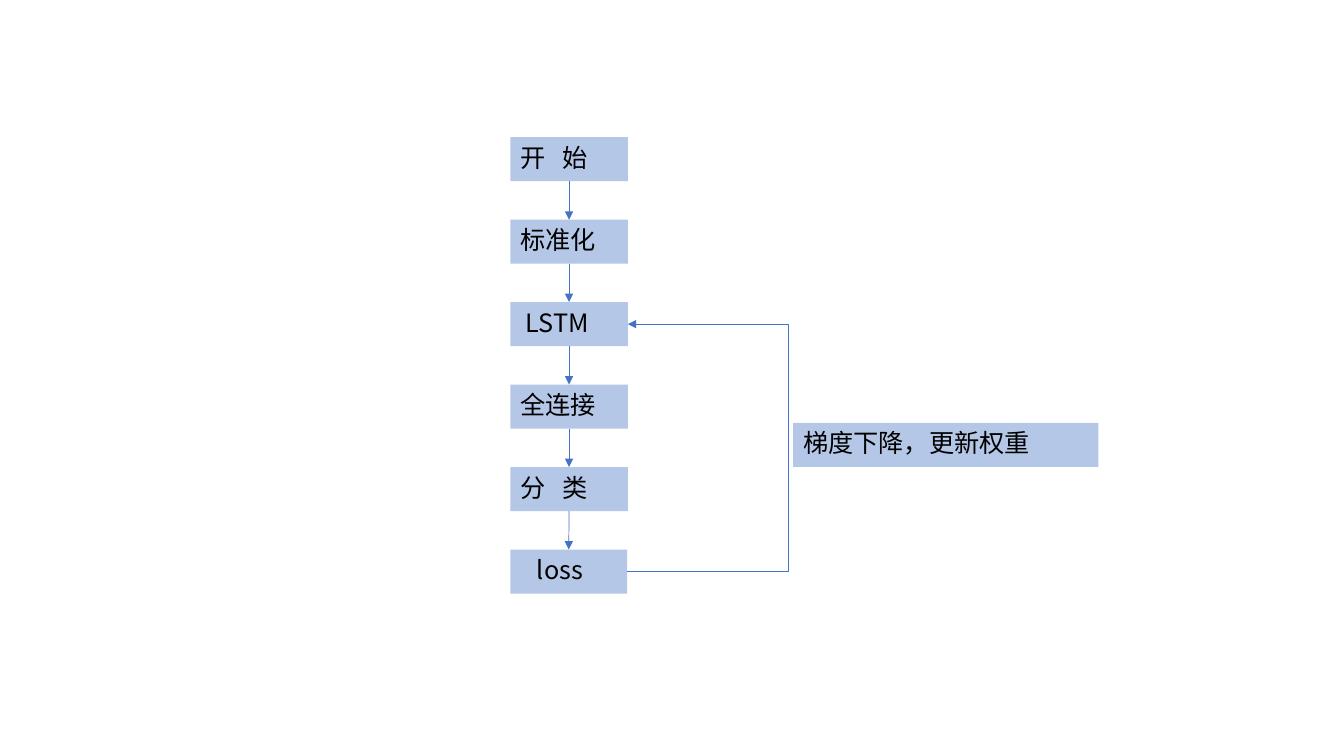
from itertools import pairwise

from lxml.etree import SubElement
from pptx import Presentation
from pptx.dml.color import RGBColor
from pptx.enum.shapes import MSO_CONNECTOR as Connector
from pptx.oxml.ns import qn
from pptx.util import Pt

BOX_BLUE = RGBColor(0xB4, 0xC7, 0xE7)
ARROW_BLUE = RGBColor(0x44, 0x72, 0xC4)
BLACK = RGBColor(0, 0, 0)

BOX_LEFT, FIRST_TOP, STEP_PITCH = 364.5, 98, 58.9
BOX_WIDTH, LOSS_WIDTH, BOX_HEIGHT = 84, 83.5, 31.5
LOOP_X = 561

# label, box width, text indent, letter spacing
STEPS = [
    ("开 始", BOX_WIDTH, 0, 4),
    ("标准化", BOX_WIDTH, 0, 0),
    ("LSTM", BOX_WIDTH, 4, 0),
    ("全连接", BOX_WIDTH, 0, 0),
    ("分 类", BOX_WIDTH, 0, 4),
    ("loss", LOSS_WIDTH, 12, 0),
]


class FlowChart:
    font_name = "Noto Sans CJK SC"
    font_size = 18
    line_width = 0.5

    def __init__(self, slide):
        self.shapes = slide.shapes

    def box(self, label, left, top, width, indent=0, spacing=0, wrap=True):
        box = self.shapes.add_textbox(Pt(left), Pt(top), Pt(width), Pt(BOX_HEIGHT))
        box.fill.solid()
        box.fill.fore_color.rgb = BOX_BLUE
        frame = box.text_frame
        frame.word_wrap = wrap
        frame.text = label
        paragraph = frame.paragraphs[0]
        if indent:
            paragraph._p.get_or_add_pPr().set("marL", str(Pt(indent)))
        font = paragraph.runs[0].font
        font.name = self.font_name
        font.size = Pt(self.font_size)
        font.color.rgb = BLACK
        SubElement(font._element, qn("a:ea"), typeface=self.font_name)
        if spacing:
            font._element.set("spc", str(spacing * 100))
        return box

    def _style_arrow(self, arrow):
        arrow.line.color.rgb = ARROW_BLUE
        arrow.line.width = Pt(self.line_width)
        SubElement(arrow.line._get_or_add_ln(), qn("a:tailEnd"), type="triangle")
        SubElement(arrow._element.spPr, qn("a:effectLst"))

    def down_arrow(self, upper, lower):
        arrow = self.shapes.add_connector(Connector.STRAIGHT, 0, 0, 0, 0)
        arrow.begin_connect(upper, 2)
        arrow.end_connect(lower, 0)
        self._style_arrow(arrow)

    def loop_arrow(self, source, target, turn_x):
        """Lead from the right side of source out to turn_x and back to target."""
        start_x = source.left + source.width
        end_x = target.left + target.width
        arrow = self.shapes.add_connector(
            Connector.ELBOW,
            start_x, source.top + source.height // 2,
            end_x, target.top + target.height // 2,
        )
        bend = round((Pt(turn_x) - start_x) / (end_x - start_x) * 100000)
        adjustments = arrow._element.spPr.find(qn("a:prstGeom")).find(qn("a:avLst"))
        SubElement(adjustments, qn("a:gd"), name="adj1", fmla=f"val {bend}")
        self._style_arrow(arrow)


def main():
    deck = Presentation()
    deck.slide_width, deck.slide_height = Pt(960), Pt(540)
    chart = FlowChart(deck.slides.add_slide(deck.slide_layouts[6]))

    steps = [
        chart.box(label, BOX_LEFT, FIRST_TOP + row * STEP_PITCH, width, indent, spacing)
        for row, (label, width, indent, spacing) in enumerate(STEPS)
    ]
    for upper, lower in pairwise(steps):
        chart.down_arrow(upper, lower)
    lstm, loss = steps[2], steps[-1]
    chart.loop_arrow(loss, lstm, LOOP_X)
    chart.box("梯度下降，更新权重", 566.5, 302, 218, wrap=False)

    deck.save("out.pptx")


if __name__ == "__main__":
    main()
